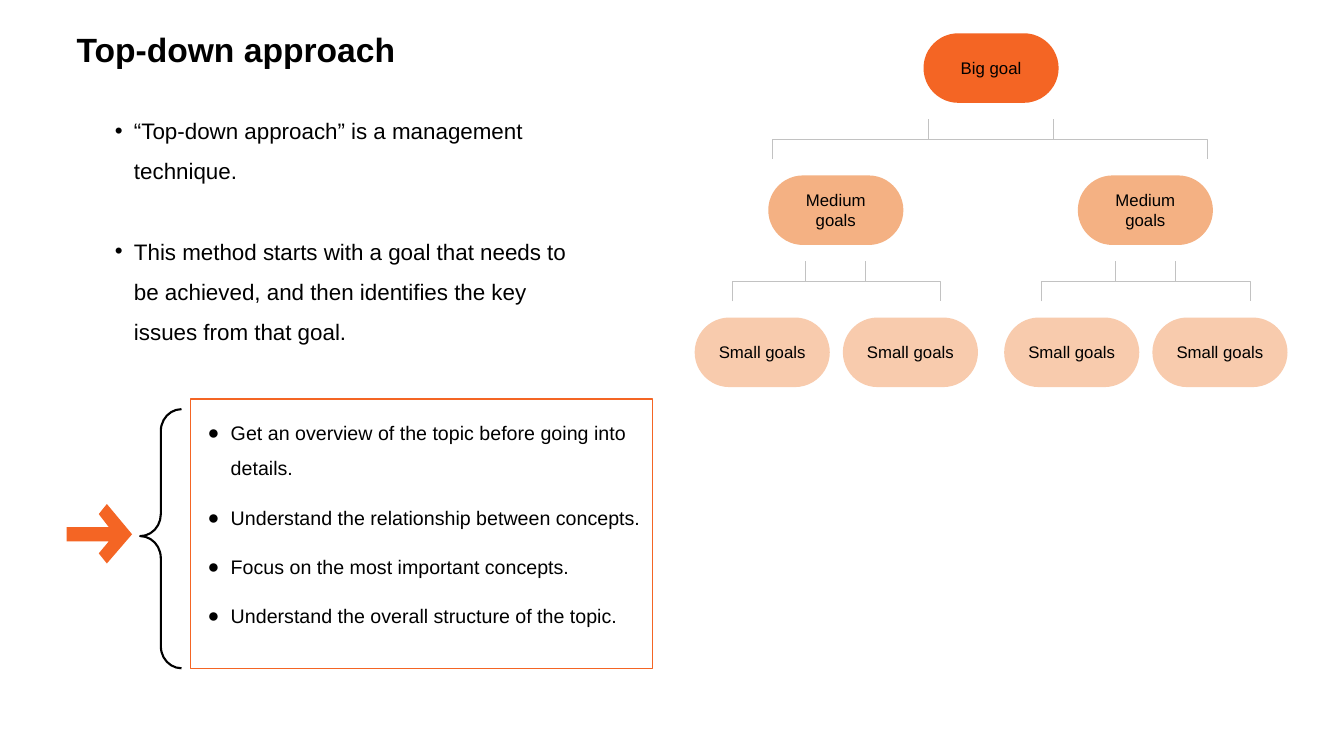
from lxml import etree
from pptx import Presentation
from pptx.dml.color import RGBColor
from pptx.enum.shapes import MSO_CONNECTOR, MSO_SHAPE
from pptx.enum.text import MSO_ANCHOR, PP_ALIGN
from pptx.oxml.ns import qn
from pptx.util import Inches, Pt

ELBOW = MSO_CONNECTOR.ELBOW
ROUND, RECT, BRACE = (MSO_SHAPE.ROUNDED_RECTANGLE, MSO_SHAPE.RECTANGLE,
                      MSO_SHAPE.LEFT_BRACE)
TOP, MIDDLE = MSO_ANCHOR.TOP, MSO_ANCHOR.MIDDLE
LEFT, CENTER = PP_ALIGN.LEFT, PP_ALIGN.CENTER
BLACK = RGBColor(0x00, 0x00, 0x00)
ORANGE = RGBColor(0xF4, 0x65, 0x24)
PEACH = RGBColor(0xF4, 0xB1, 0x83)
PALE = RGBColor(0xF8, 0xCB, 0xAD)
GREY = RGBColor(0xC2, 0xC2, 0xC2)

TITLE = "Top-down approach"
INTRO = [
    "“Top-down approach” is a management technique.",
    "This method starts with a goal that needs to be achieved, "
    "and then identifies the key issues from that goal.",
]
STEPS = [
    "Get an overview of the topic before going into details.",
    "Understand the relationship between concepts.",
    "Focus on the most important concepts.",
    "Understand the overall structure of the topic.",
]
ROWS = [
    ("Big goal", ORANGE, 0.33, [9.83]),
    ("Medium goals", PEACH, 1.74, [8.29, 11.36]),
    ("Small goals", PALE, 3.15, [7.56, 9.03, 10.63, 12.1]),
]
NODE_W, NODE_H = 1.34, 0.69
DROP = 0.72
SCALE = 1.81
ARROW = [(1.06, 5), (0.98, 5.1), (1.08, 5.23), (0.66, 5.23), (0.66, 5.37),
         (1.08, 5.37), (0.98, 5.49), (1.06, 5.59), (1.31, 5.3)]


def set_text(shape, lines, size, align=LEFT, anchor=TOP, bold=False,
             space=1.0, gap=0, bullet=None, margin=0, hang=0):
    frame = shape.text_frame
    frame.text = "\n".join(lines)
    frame.word_wrap = True
    frame.vertical_anchor = anchor
    frame.margin_left = frame.margin_right = Inches(0.1)
    frame.margin_top = frame.margin_bottom = Inches(0.1)
    for i, para in enumerate(frame.paragraphs):
        para.alignment = align
        para.line_spacing = space
        para.space_before = Pt(gap if i else 0)
        if bullet:
            props = para._p.get_or_add_pPr()
            props.set("marL", str(Inches(margin)))
            props.set("indent", str(-Inches(hang)))
            font = etree.SubElement(props, qn("a:buFont"))
            font.set("typeface", "Arial")
            etree.SubElement(props, qn("a:buChar")).set("char", bullet)
        for run in para.runs:
            run.font.name = "Arial"
            run.font.size = Pt(size)
            run.font.bold = bold
            run.font.color.rgb = BLACK


def paint(shape, fill=None, line=None, width=1):
    shape.shadow.inherit = False
    if fill is None:
        shape.fill.background()
    else:
        shape.fill.solid()
        shape.fill.fore_color.rgb = fill
    if line is None:
        shape.line.fill.background()
    else:
        shape.line.color.rgb = line
        shape.line.width = Pt(width)


def add_link(shapes, parent, child, y):
    mid = (parent + child) / 2
    half = abs(child - parent) / 2 * SCALE
    side = DROP / 2 if child > parent else -DROP / 2
    link = shapes.add_connector(
        ELBOW, Inches(mid + side), Inches(y * SCALE - half),
        Inches(mid - side), Inches(y * SCALE + half))
    props = link._element.spPr
    props.find(qn("a:xfrm")).set("rot", str(270 * 60000))
    link.line.color.rgb = GREY
    link.line.width = Pt(0.75)
    etree.SubElement(props, qn("a:effectLst"))


def add_tree(shapes):
    for label, color, top, centers in ROWS:
        for mid in centers:
            node = shapes.add_shape(ROUND, Inches(mid - NODE_W / 2), Inches(top),
                                    Inches(NODE_W), Inches(NODE_H))
            node.adjustments[0] = 0.5
            paint(node, color)
            set_text(node, [label], 12, CENTER, MIDDLE)
    group = shapes.add_group_shape()
    for upper, lower in zip(ROWS, ROWS[1:]):
        y = (upper[2] + NODE_H + lower[2]) / 2
        for i, child in enumerate(lower[3]):
            add_link(group.shapes, upper[3][i // 2], child, y)
    group.top = int(group.top / SCALE)
    group.height = int(group.height / SCALE)


def main():
    deck = Presentation()
    deck.slide_width, deck.slide_height = Inches(13.33), Inches(7.5)
    slide = deck.slides.add_slide(deck.slide_layouts[5])
    shapes = slide.shapes

    title = shapes.title
    title.left, title.top = Inches(0.66), Inches(0.23)
    title.width, title.height = Inches(5.43), Inches(0.72)
    set_text(title, [TITLE], 24, bold=True, space=0.9)

    intro = shapes.add_textbox(*map(Inches, (1.04, 0.93, 4.92, 2.58)))
    set_text(intro, INTRO, 16, space=1.5, gap=28.6, bullet="•",
             margin=0.19, hang=0.19)

    add_tree(shapes)

    box = shapes.add_shape(RECT, *map(Inches, (1.89, 3.96, 4.58, 2.67)))
    paint(box, line=ORANGE)
    set_text(box, STEPS, 14, space=1.5, gap=10, bullet="●",
             margin=0.3, hang=0.23)

    brace = shapes.add_shape(BRACE, *map(Inches, (1.39, 4.06, 0.41, 2.57)))
    brace.adjustments[0], brace.adjustments[1] = 0.53, 0.49
    paint(brace, line=BLACK, width=1.5)

    points = [(Inches(x), Inches(y)) for x, y in ARROW]
    pen = shapes.build_freeform(*points[0])
    pen.add_line_segments(points[1:], close=True)
    paint(pen.convert_to_shape(), ORANGE)

    deck.save("out.pptx")


if __name__ == "__main__":
    main()
